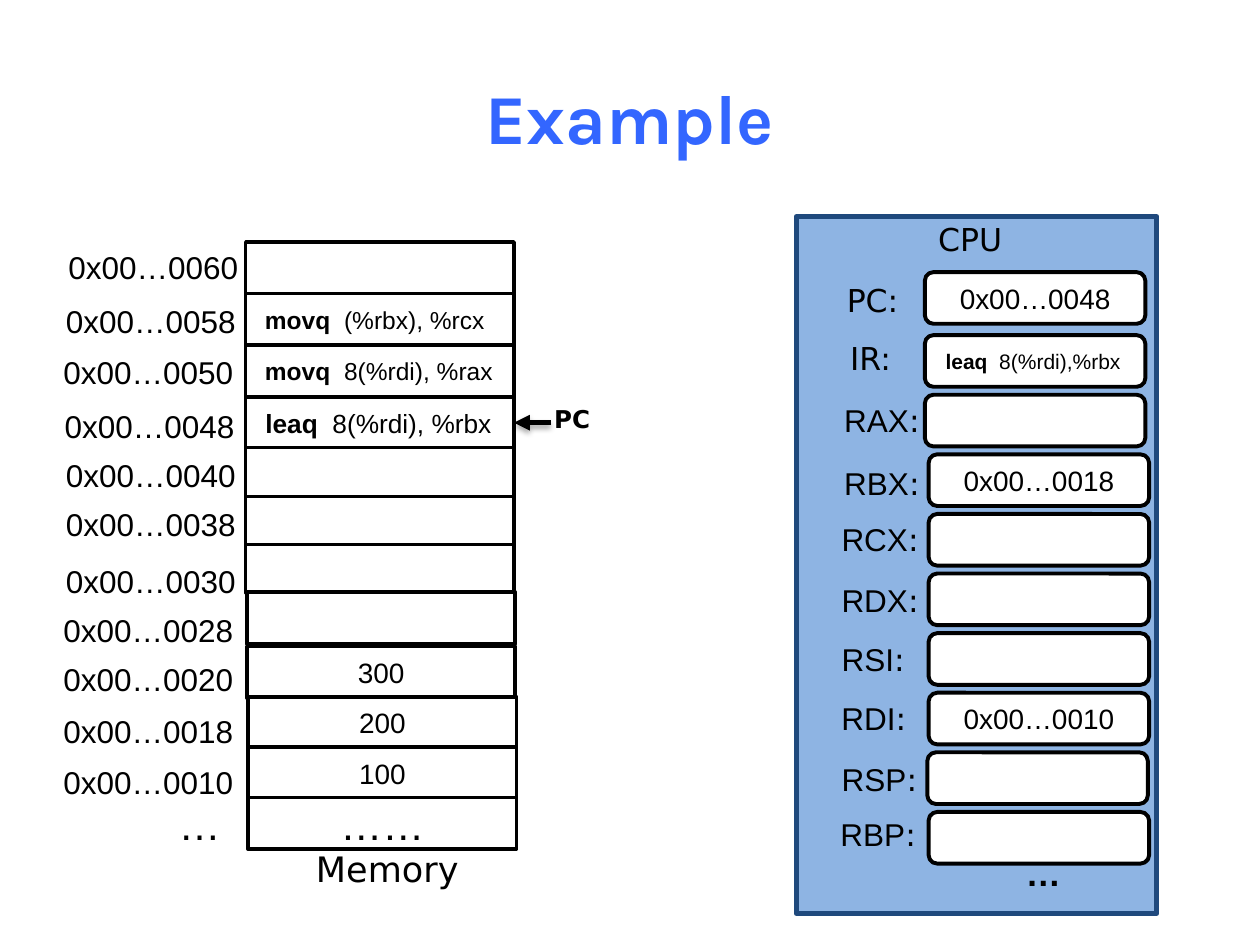
"""Draw a slide of memory cells beside the registers of a CPU."""
import dataclasses

import pptx
import pptx.dml.color
import pptx.enum.shapes
import pptx.enum.text
import pptx.oxml
import pptx.util

COLS, ROWS = 100, 75
SANS, WIDE = "Arial", "DejaVu Sans"
BLACK, WHITE = "000000", "FFFFFF"
NS = 'xmlns:a="http://schemas.openxmlformats.org/drawingml/2006/main"'
SHAPE = pptx.enum.shapes.MSO_SHAPE
ALIGN = pptx.enum.text.PP_ALIGN
LEFT, MID, RIGHT = ALIGN.LEFT, ALIGN.CENTER, ALIGN.RIGHT


@dataclasses.dataclass
class Cell:
    """One memory row, with odd parts of its text between bars in bold."""
    label: str
    top: float
    label_left: float
    label_top: float
    text: str = ""
    left: float = 19.5
    high: float = 4.1
    size: float = 16
    align: int = MID


@dataclasses.dataclass
class Slot:
    """One CPU register, with odd parts of its text between bars in bold."""
    name: str
    label_left: float
    label_top: float
    label_wide: float
    text: str = ""
    left: float = 73.7
    font: str = SANS
    size: float = 16
    align: int = MID


CELLS = [
    Cell("0x00…0060", 19.2, 4.3, 19.2),
    Cell("0x00…0058", 23.3, 4.1, 23.5, " |movq  |(%rbx), %rcx", size=14, align=LEFT),
    Cell("0x00…0050", 27.4, 3.9, 27.5, " |movq | 8(%rdi), %rax", size=14, align=LEFT),
    Cell("0x00…0048", 31.5, 4, 31.8, " |leaq | 8(%rdi), %rbx", size=15, align=LEFT),
    Cell("0x00…0040", 35.5, 4.1, 35.7, high=3.9),
    Cell("0x00…0038", 39.4, 4.1, 39.6, high=3.9),
    Cell("0x00…0030", 43.2, 4.1, 44.1, high=3.9),
    Cell("0x00…0028", 47, 3.9, 48, left=19.6),
    Cell("0x00…0020", 51.3, 3.9, 51.9, "300", left=19.6),
    Cell("0x00…0018", 55.3, 3.9, 56, "200", left=19.7),
    Cell("0x00…0010", 59.3, 3.9, 60.1, "100", left=19.7),
    Cell("…", 63.3, 3.9, 62.9, "……", left=19.7, size=24),
]
FIRST = Slot("PC", 66, 21.8, 6.5, "0x00…0048", 73.4, WIDE)
SLOTS = [
    Slot("IR", 66.1, 26.4, 6, " |leaq|  8(%rdi),%rbx", 73.4, WIDE, 12, LEFT),
    Slot("RAX", 65.8, 31.3, 8.4, left=73.4),
    Slot("RBX", 65.8, 36.3, 8.4, "0x00…0018"),
    Slot("RCX", 65.6, 40.8, 8.5),
    Slot("RDX", 65.6, 45.6, 8.5),
    Slot("RSI", 65.6, 50.3, 7.4),
    Slot("RDI", 65.6, 55, 7.5, "0x00…0010"),
    Slot("RSP", 65.6, 59.8, 8.4, left=73.6),
    Slot("RBP", 65.5, 64.2, 8.4),
]

deck = pptx.Presentation()
deck.slide_width = pptx.util.Inches(10)
deck.slide_height = pptx.util.Inches(7.5)
slide = deck.slides.add_slide(deck.slide_layouts[5])


def place(left: float, top: float, wide: float, high: float) -> list[int]:
    """Turn grid columns and rows into slide lengths."""
    across, down = deck.slide_width / COLS, deck.slide_height / ROWS
    return [round(n) for n in (left * across, top * down, wide * across, high * down)]


def tint(code: str) -> pptx.dml.color.RGBColor:
    """Read a colour from its hex string."""
    return pptx.dml.color.RGBColor.from_string(code)


def write(shape, text: str, *, size: float = 18, font: str = SANS,
          bold: bool = False, color: str = BLACK, align: int = MID) -> None:
    """Add text to a shape, with odd parts between bars in bold."""
    line = shape.text_frame.paragraphs[0]
    line.alignment = align
    for i, part in enumerate(text.split("|")):
        run = line.add_run()
        run.text = part
        run.font.size = pptx.util.Pt(size)
        run.font.name = font
        run.font.bold = bold or i % 2 == 1
        run.font.color.rgb = tint(color)


def block(kind: int, area: list[int], fill: str = WHITE,
          edge: str = BLACK, width: float = 2):
    """Draw a filled shape with an outline."""
    shape = slide.shapes.add_shape(kind, *area)
    shape.shadow.inherit = False
    shape.fill.solid()
    shape.fill.fore_color.rgb = tint(fill)
    shape.line.color.rgb = tint(edge)
    shape.line.width = pptx.util.Pt(width)
    return shape


def label(area: list[int], text: str, **style):
    """Draw a text box that does not wrap."""
    box = slide.shapes.add_textbox(*area)
    box.text_frame.word_wrap = False
    box.text_frame.auto_size = pptx.enum.text.MSO_AUTO_SIZE.SHAPE_TO_FIT_TEXT
    write(box, text, **style)
    return box


def draw_cell(cell: Cell):
    """Draw a memory cell and its address."""
    box = block(SHAPE.RECTANGLE, place(cell.left, cell.top, 21.3, cell.high))
    if cell.text:
        write(box, cell.text, size=cell.size, align=cell.align)
    last = cell.label == "…"
    area = place(13.1, cell.label_top, 5.4, 5) if last else place(
        cell.label_left, cell.label_top, 15.6, 4)
    label(area, cell.label, size=24 if last else 18, align=RIGHT)
    return box


def draw_slot(slot: Slot, top: float) -> None:
    """Draw a register and its name."""
    box = block(SHAPE.ROUNDED_RECTANGLE, place(slot.left, top, 17.5, 4.1), width=2.25)
    if slot.text:
        write(box, slot.text, size=slot.size, align=slot.align)
    name = label(place(slot.label_left, slot.label_top, slot.label_wide, 4),
                 slot.name, font=slot.font)
    write(name, ":", font=WIDE)


def point(cell) -> None:
    """Draw an arrow with a soft shadow to the right side of a cell."""
    mid = cell.top + cell.height // 2
    start = place(43.7, 0, 0, 0)[0]
    arrow = slide.shapes.add_connector(
        pptx.enum.shapes.MSO_CONNECTOR.STRAIGHT, start, mid, cell.left + cell.width, mid)
    arrow.end_connect(cell, 3)
    arrow.line.color.rgb = tint(BLACK)
    arrow.line.width = pptx.util.Pt(3)
    arrow.line._get_or_add_ln().append(
        pptx.oxml.parse_xml(f'<a:tailEnd {NS} type="triangle"/>'))
    arrow._element.spPr.append(pptx.oxml.parse_xml(
        f'<a:effectLst {NS}><a:outerShdw blurRad="40000" dist="23000" dir="5400000" '
        'rotWithShape="0"><a:srgbClr val="000000"><a:alpha val="35000"/></a:srgbClr>'
        '</a:outerShdw></a:effectLst>'))


def main() -> None:
    """Build the slide and save it."""
    title = slide.shapes.title
    title.left, title.top, title.width, title.height = place(5, 3, 90, 12.5)
    title.text_frame.vertical_anchor = pptx.enum.text.MSO_ANCHOR.MIDDLE
    write(title, "Example", size=40, font="Karla", bold=True, color="3366FF")

    boxes = [draw_cell(cell) for cell in CELLS]
    label(place(24.1, 66.8, 13.3, 4.4), "Memory", size=20, font=WIDE, align=LEFT)
    point(boxes[3])
    label(place(43, 31.6, 4.9, 3.4), "PC", size=14, font=WIDE, bold=True, align=LEFT)

    block(SHAPE.RECTANGLE, place(63.2, 17.2, 28.6, 55.3), "8EB4E3", "1F497D", 3)
    label(place(73.4, 17, 7.2, 4), "CPU", font=WIDE)
    draw_slot(FIRST, 21.6)
    for i, slot in enumerate(SLOTS):
        draw_slot(slot, 26.6 + 4.73 * i)
    label(place(80.4, 67.1, 4.8, 4.4), "…", size=20, bold=True)
    deck.save("out.pptx")


if __name__ == "__main__":
    main()
